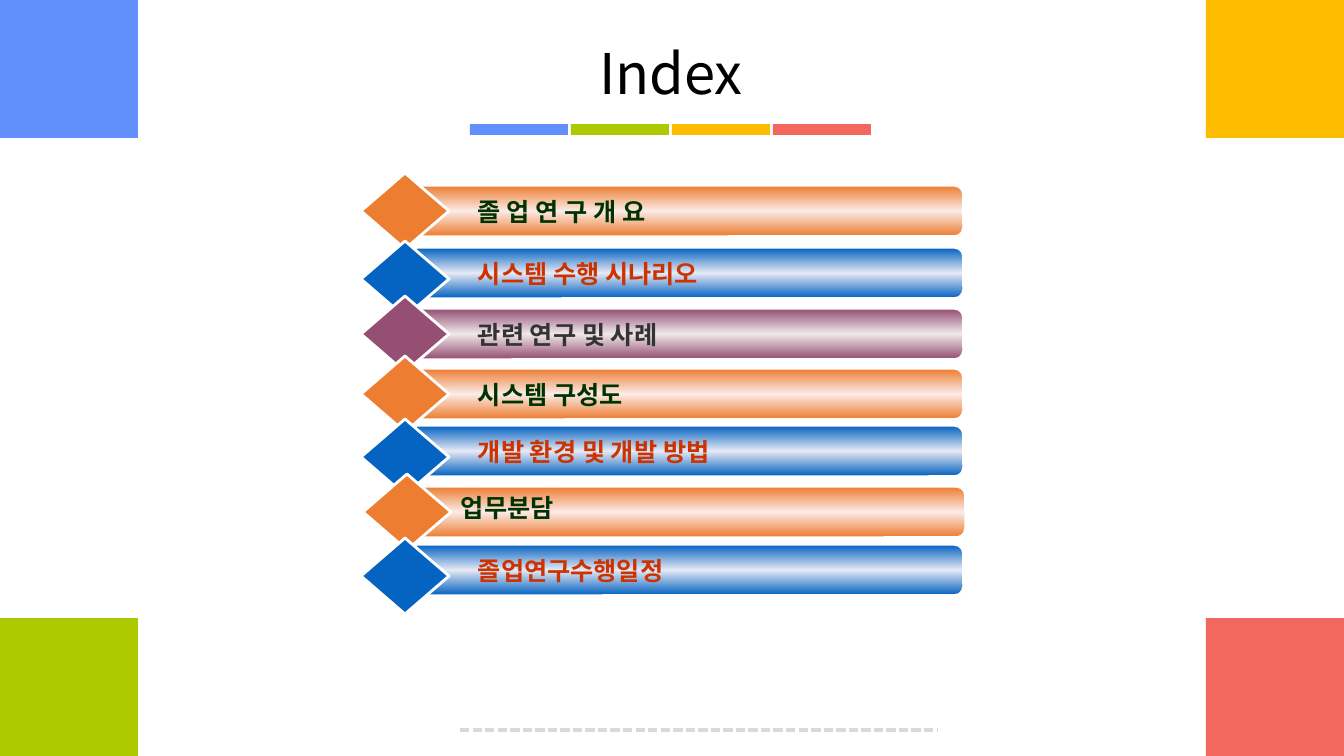
import copy

import pptx
import pptx.util
import pptx.dml.color
import pptx.enum.dml
import pptx.enum.shapes
import pptx.enum.text
import pptx.oxml
import pptx.oxml.ns
from lxml import etree

# Content
TITLE = "Index"
# text, theme, bar top, bar shift right, label offset from the bar
ENTRIES = [
    ("졸 업 연 구 개 요", "orange", 186, 0, (59, 5)),
    ("시스템 수행 시나리오", "blue", 248, 0, (59, 5)),
    ("관련 연구 및 사례", "purple", 309, 0, (59, 5)),
    ("시스템 구성도", "orange", 369, 0, (59, 5)),
    ("개발 환경 및 개발 방법", "blue", 426, 0, (59, 5)),
    ("업무분담", "orange", 487, 2, (40, 0)),
    ("졸업연구수행일정", "blue", 545, 0, (59, 5)),
]

# Formats
COLORS = {
    "sky": "618FFC", "lime": "ADC900", "amber": "FEBC00", "coral": "F2685E",
    "white": "FFFFFF", "black": "000000", "dash": "D9D9D9",
}
# edge and middle of the bar, label colour, diamond rise above the bar
THEMES = {
    "orange": {"edge": "ED7D31", "middle": "FBEBE7", "text": "003300", "rise": 13},
    "blue": {"edge": "0563C1", "middle": "E6E9F4", "text": "CC3300", "rise": 7},
    "purple": {"edge": "954F72", "middle": "EEE8EA", "text": "333333", "rise": 13},
}
FONT = "Noto Sans CJK KR"
WIDTH, HEIGHT = 1344, 756
CORNER = 138
BAR_LEFT, BAR_WIDTH, BAR_HEIGHT = 409, 554, 50
DIAMOND_LEFT, DIAMOND_WIDTH, DIAMOND_HEIGHT = 361, 88, 76
SHAPES = pptx.enum.shapes.MSO_SHAPE
ALIGN = pptx.enum.text.PP_ALIGN
qn = pptx.oxml.ns.qn


def px(length):
    return pptx.util.Emu(round(length * 914400 / 100.8))


def rgb(value):
    return pptx.dml.color.RGBColor.from_string(value)


def add_box(slide, kind, box, fill, outline=0):
    shape = slide.shapes.add_shape(kind, *map(px, box))
    shape.shadow.inherit = False
    shape.fill.solid()
    shape.fill.fore_color.rgb = rgb(fill)
    if outline:
        shape.line.color.rgb = rgb(COLORS["white"])
        shape.line.width = pptx.util.Pt(outline)
    else:
        shape.line.fill.background()
    return shape


def set_gradient(shape, colors):
    shape.fill.gradient()
    shape.fill.gradient_angle = 90
    stop_list = shape.element.spPr.find(".//" + qn("a:gsLst"))
    stop_list.append(copy.deepcopy(stop_list[-1]))
    for index, (stop, color) in enumerate(zip(shape.fill.gradient_stops, colors)):
        stop.position = index / (len(colors) - 1)
        stop.color.rgb = rgb(color)


def write_text(shape, text, size, color, alignment, bold):
    frame = shape.text_frame
    frame_format = {
        "word_wrap": True,
        "auto_size": pptx.enum.text.MSO_AUTO_SIZE.SHAPE_TO_FIT_TEXT,
        "vertical_anchor": pptx.enum.text.MSO_ANCHOR.TOP,
    }
    for name, value in frame_format.items():
        setattr(frame, name, value)
    paragraph = frame.paragraphs[0]
    paragraph.alignment = alignment
    run = paragraph.add_run()
    run.text = text
    for name, value in {"size": pptx.util.Pt(size), "bold": bold, "name": FONT}.items():
        setattr(run.font, name, value)
    run.font.color.rgb = rgb(color)
    latin = run.font._element.find(qn("a:latin"))
    east_asian = etree.Element(qn("a:ea"), typeface=FONT)
    latin.addnext(east_asian)


def add_frame(slide):
    # Corner squares
    right, bottom = WIDTH - CORNER, HEIGHT - CORNER
    corners = {"sky": (0, 0), "amber": (right, 0),
               "coral": (right, bottom), "lime": (0, bottom)}
    for color, (left, top) in corners.items():
        add_box(slide, SHAPES.RECTANGLE, (left, top, CORNER, CORNER), COLORS[color])

    # Dashed line at the foot
    line = slide.shapes.add_connector(
        pptx.enum.shapes.MSO_CONNECTOR.STRAIGHT, px(460), px(730), px(937), px(730))
    line.line.color.rgb = rgb(COLORS["dash"])
    line.line.width = pptx.util.Pt(2.25)
    line.line.dash_style = pptx.enum.dml.MSO_LINE.SQUARE_DOT
    etree.SubElement(line._element.spPr, qn("a:effectLst"))

    # Four-colour rule under the title
    for index, color in enumerate(["sky", "lime", "amber", "coral"]):
        add_box(slide, SHAPES.RECTANGLE, (470 + index * 101, 124, 98, 11), COLORS[color])


def add_title(slide):
    title = slide.shapes.title
    place = {"left": 469, "top": 33, "width": 404, "height": 78}
    for name, value in place.items():
        setattr(title, name, px(value))
    write_text(title, TITLE, 40, COLORS["black"], ALIGN.CENTER, False)


def add_entry(slide, text, theme_name, top, shift, label_offset):
    theme = THEMES[theme_name]
    left = BAR_LEFT + shift
    bar = add_box(slide, SHAPES.ROUNDED_RECTANGLE,
                  (left, top, BAR_WIDTH, BAR_HEIGHT), theme["edge"], 1)
    bar.adjustments[0] = 0.17
    set_gradient(bar, [theme["edge"], theme["middle"], theme["edge"]])
    add_box(slide, SHAPES.DIAMOND,
            (DIAMOND_LEFT + shift, top - theme["rise"], DIAMOND_WIDTH, DIAMOND_HEIGHT),
            theme["edge"], 2)
    label_box = (left + label_offset[0], top + label_offset[1], 454, 40)
    label = slide.shapes.add_textbox(*map(px, label_box))
    write_text(label, text, 18, theme["text"], ALIGN.JUSTIFY, True)


def main():
    presentation = pptx.Presentation()
    presentation.slide_width, presentation.slide_height = px(WIDTH), px(HEIGHT)
    slide = presentation.slides.add_slide(presentation.slide_layouts[5])
    slide.background.fill.solid()
    slide.background.fill.fore_color.rgb = rgb(COLORS["white"])
    add_frame(slide)
    add_title(slide)
    for entry in ENTRIES:
        add_entry(slide, *entry)
    presentation.save("out.pptx")


if __name__ == "__main__":
    main()
